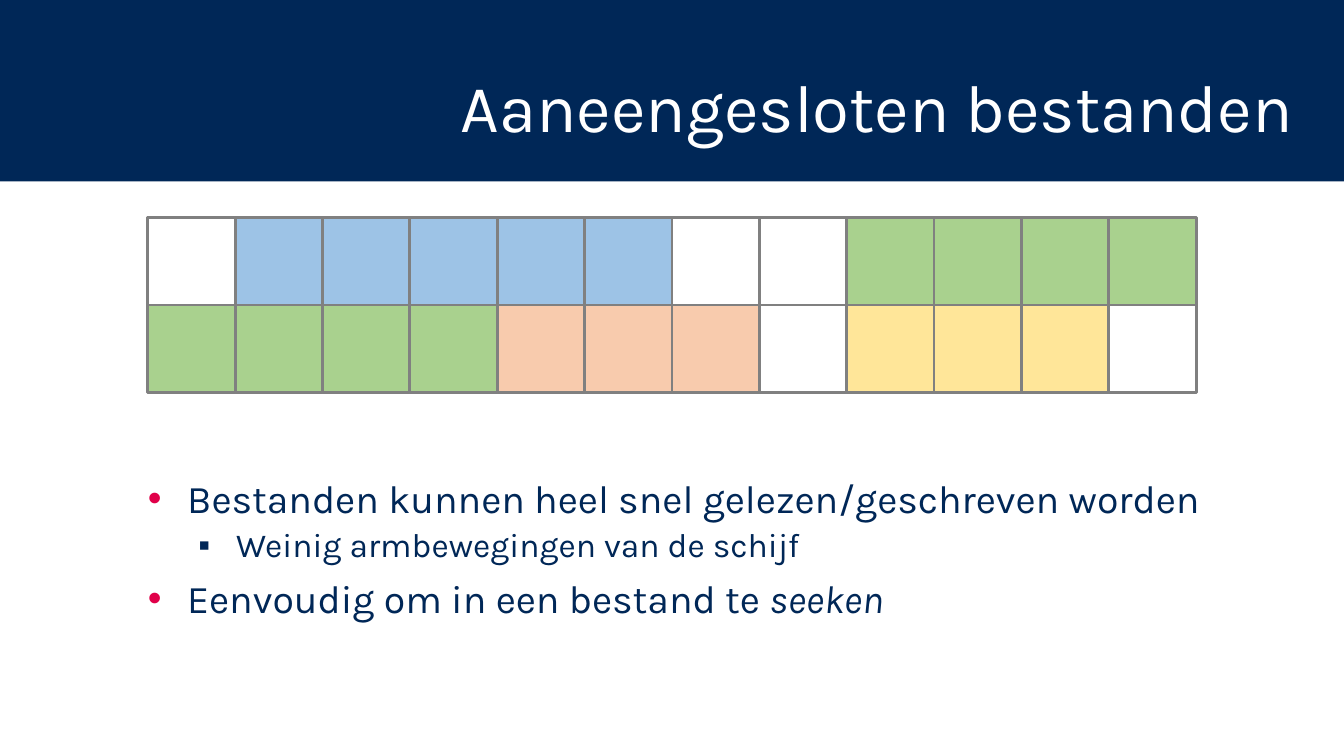
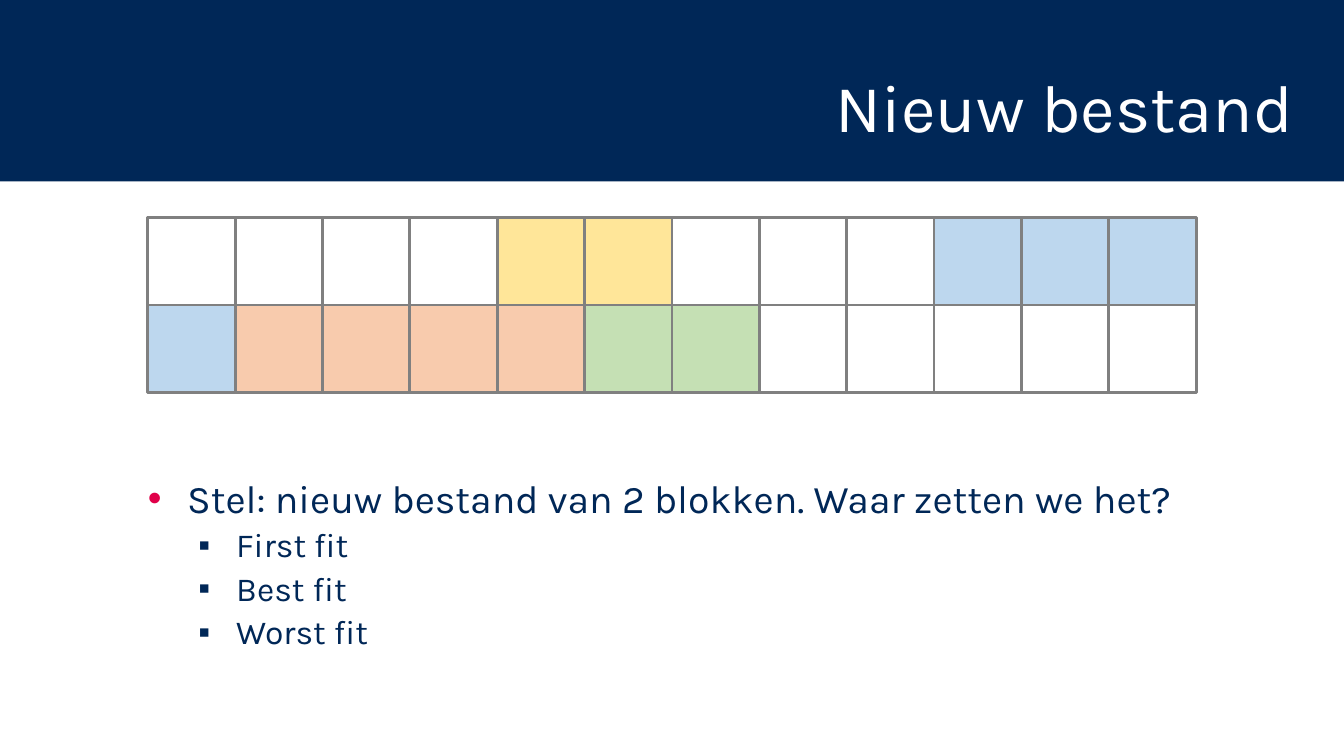
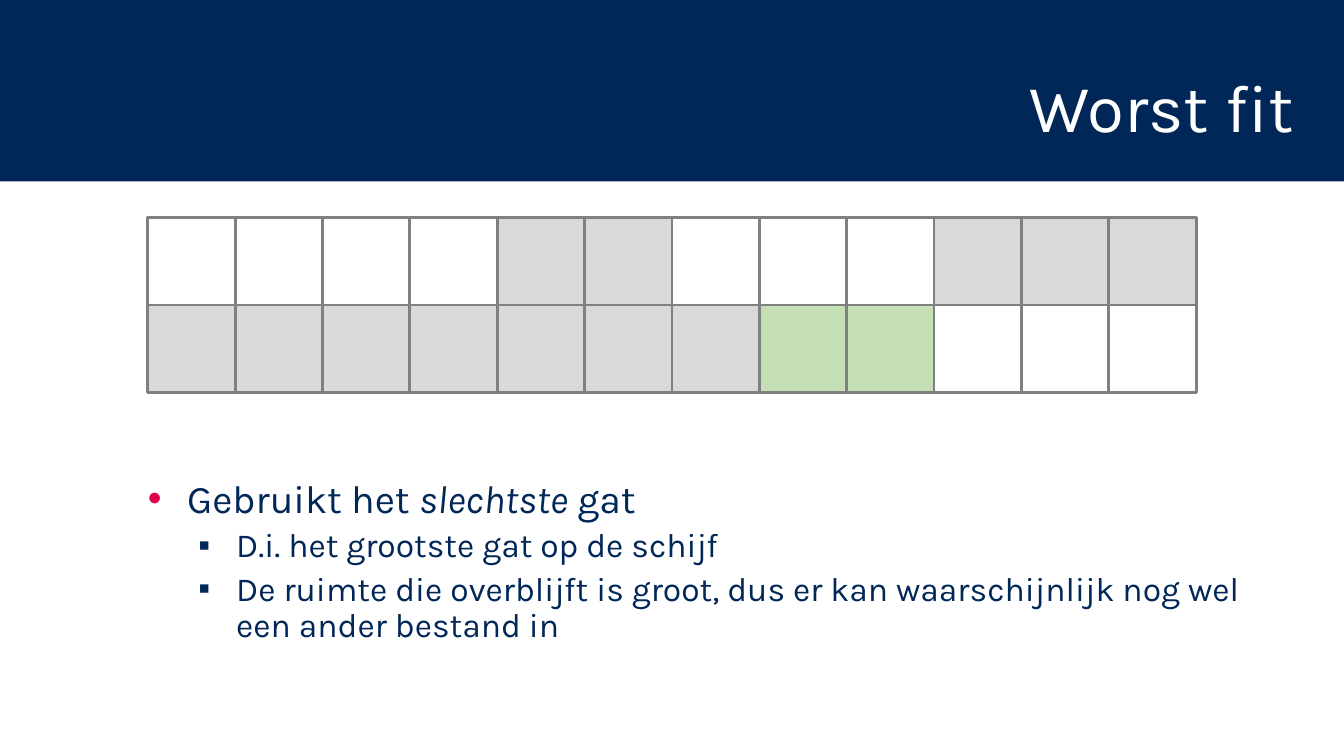
from pptx import Presentation
from pptx.dml.color import RGBColor
from pptx.enum.shapes import MSO_SHAPE
from pptx.enum.text import MSO_ANCHOR, PP_ALIGN
from pptx.oxml import parse_xml
from pptx.oxml.ns import nsdecls
from pptx.util import Pt

RECTANGLE = MSO_SHAPE.RECTANGLE
MIDDLE = MSO_ANCHOR.MIDDLE
RIGHT = PP_ALIGN.RIGHT

FONT = "Karla"
COLORS = {
    "navy": "002757", "red": "E00049", "white": "FFFFFF", "border": "808080",
    "blue": "9DC3E6", "light blue": "BDD7EE",
    "green": "A9D18E", "light green": "C5E0B4",
    "orange": "F8CBAD", "yellow": "FFE699", "gray": "D9D9D9",
}

# Disk grid: square blocks in two rows, centred on the slide
SLIDE_WIDTH, SLIDE_HEIGHT = 960, 540
COLUMNS, BLOCK = 12, 62.4
GRID_LEFT, GRID_TOP = (SLIDE_WIDTH - COLUMNS * BLOCK) / 2, 155.5

# Bullet levels: character, bullet colour, size, indent, hang, space before
LEVELS = [
    ("•", "red", 28, 28, 28, 10),
    ("▪", "navy", 24, 63, 27, 5),
]

# Title, runs of (block count, colour) across the disk, and
# bullets as (level, text) with *italics*
SLIDES = [
    ("Aaneengesloten bestanden",
     [(1, "white"), (5, "blue"), (2, "white"), (8, "green"),
      (3, "orange"), (1, "white"), (3, "yellow"), (1, "white")],
     [(0, "Bestanden kunnen heel snel gelezen/geschreven worden"),
      (1, "Weinig armbewegingen van de schijf"),
      (0, "Eenvoudig om in een bestand te *seeken*")]),
    ("Nieuw bestand",
     [(4, "white"), (2, "yellow"), (3, "white"), (4, "light blue"),
      (4, "orange"), (2, "light green"), (5, "white")],
     [(0, "Stel: nieuw bestand van 2 blokken. Waar zetten we het?"),
      (1, "First fit"),
      (1, "Best fit"),
      (1, "Worst fit")]),
    ("Worst fit",
     [(4, "white"), (2, "gray"), (3, "white"), (10, "gray"),
      (2, "light green"), (3, "white")],
     [(0, "Gebruikt het *slechtste* gat"),
      (1, "D.i. het grootste gat op de schijf"),
      (1, "De ruimte die overblijft is groot, dus er kan waarschijnlijk "
          "nog wel een ander bestand in")]),
]


def add_rectangle(shapes, left, top, width, height, color):
    rectangle = shapes.add_shape(RECTANGLE, Pt(left), Pt(top), Pt(width), Pt(height))
    rectangle.shadow.inherit = False
    rectangle.fill.solid()
    rectangle.fill.fore_color.rgb = RGBColor.from_string(COLORS[color])
    rectangle.line.fill.background()
    return rectangle


def style_paragraph(paragraph, size, color):
    paragraph.line_spacing = 0.9
    paragraph.font.name = FONT
    paragraph.font.size = Pt(size)
    paragraph.font.color.rgb = RGBColor.from_string(COLORS[color])


prs = Presentation()
prs.slide_width, prs.slide_height = Pt(SLIDE_WIDTH), Pt(SLIDE_HEIGHT)
blank = prs.slide_layouts[6]

for title, block_runs, bullets in SLIDES:
    slide = prs.slides.add_slide(blank)

    # Title band
    add_rectangle(slide.shapes, 0, 0, SLIDE_WIDTH, 129.6, "navy")
    heading = slide.shapes.add_textbox(Pt(147.6), Pt(28.8), Pt(783.4), Pt(100.8)).text_frame
    heading.word_wrap = True
    heading.vertical_anchor = MIDDLE
    heading.text = title
    heading.paragraphs[0].alignment = RIGHT
    style_paragraph(heading.paragraphs[0], 48, "white")

    # Disk blocks
    disk = slide.shapes.add_group_shape()
    block_colors = [color for count, color in block_runs for _ in range(count)]
    for index, color in enumerate(block_colors):
        row, column = divmod(index, COLUMNS)
        block = add_rectangle(disk.shapes, GRID_LEFT + column * BLOCK,
                              GRID_TOP + row * BLOCK, BLOCK, BLOCK, color)
        block.line.color.rgb = RGBColor.from_string(COLORS["border"])
        block.line.width = Pt(2)

    # Bullets
    body = slide.shapes.add_textbox(Pt(98.6), Pt(339), Pt(832.4), Pt(138.2)).text_frame
    body.word_wrap = True
    for number, (level, text) in enumerate(bullets):
        character, bullet_color, size, indent, hang, space = LEVELS[level]
        paragraph = body.add_paragraph() if number else body.paragraphs[0]
        paragraph.level = level
        properties = paragraph._p.get_or_add_pPr()
        properties.set("marL", str(Pt(indent)))
        properties.set("indent", str(-Pt(hang)))
        for element in (
            f'<a:buClr {nsdecls("a")}><a:srgbClr val="{COLORS[bullet_color]}"/></a:buClr>',
            f'<a:buFont {nsdecls("a")} typeface="Arial"/>',
            f'<a:buChar {nsdecls("a")} char="{character}"/>',
        ):
            properties.append(parse_xml(element))
        style_paragraph(paragraph, size, "navy")
        if number:
            paragraph.space_before = Pt(space)
        for part, words in enumerate(text.split("*")):
            if words:
                run = paragraph.add_run()
                run.text = words
                if part % 2:
                    run.font.italic = True

prs.save("out.pptx")
